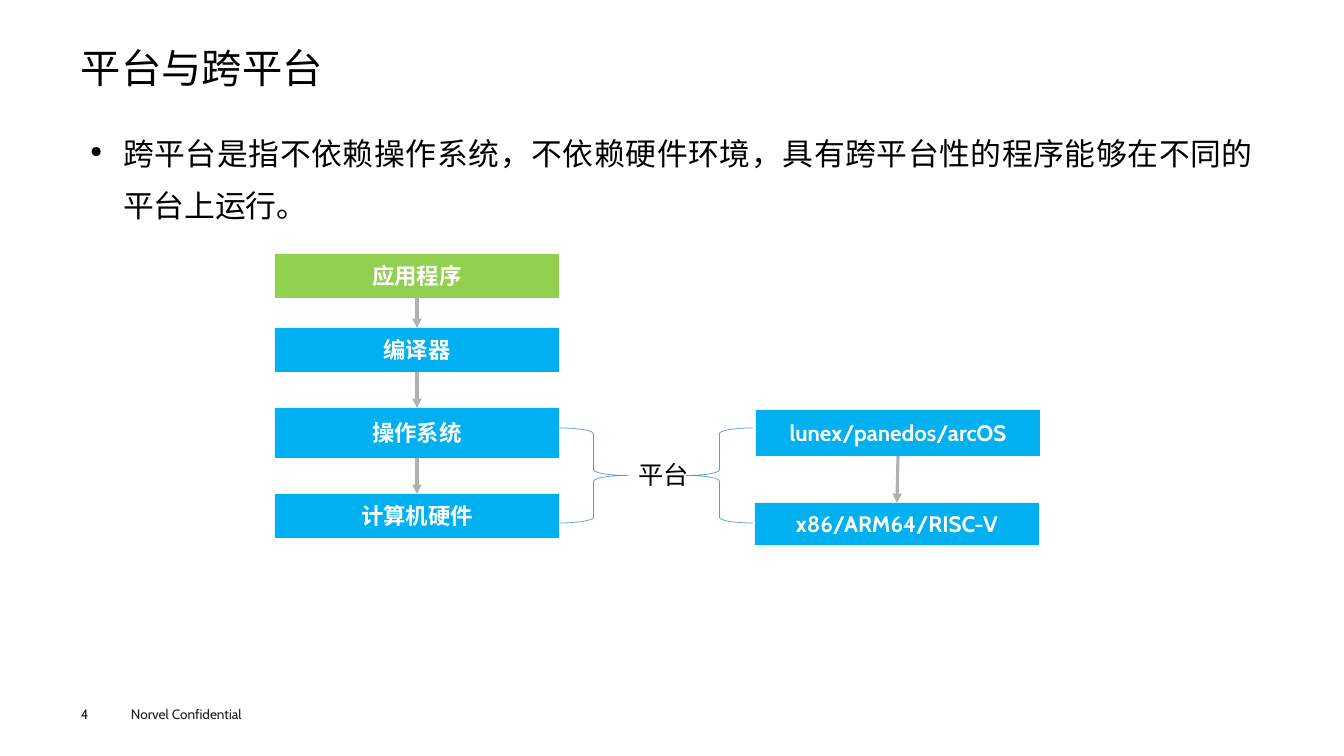
from dataclasses import dataclass
from itertools import pairwise

from lxml import etree
from pptx import Presentation
from pptx import util as u
from pptx.dml.color import RGBColor
from pptx.enum import shapes, text
from pptx.oxml.ns import qn

EMU_PER_PX = 914400 / 100.8
TITLE_ONLY = 5


def px(length):
    return u.Emu(round(length * EMU_PER_PX))


@dataclass(frozen=True)
class Theme:
    font: str = "Cabin"
    ink: str = "000000"
    footer_ink: str = "1D1D1B"
    box_ink: str = "FFFFFF"
    program: str = "92D050"
    layer: str = "00B0F0"
    arrow: str = "B0B0B0"
    brace: str = "5B9BD5"
    title_size: float = 28.8
    body_size: float = 22
    label_size: float = 18
    box_size: float = 16
    footer_size: float = 9.7


class SlideBuilder:
    def __init__(self, deck, theme):
        self.theme = theme
        self.page = deck.slides.add_slide(deck.slide_layouts[TITLE_ONLY])

    def set_text(self, shape, words, size, color, insets=(0, 0), bold=False,
                 align=text.PP_ALIGN.LEFT, anchor=text.MSO_ANCHOR.TOP):
        """Fill a shape with one styled paragraph and return the paragraph."""
        frame = shape.text_frame
        frame.word_wrap = True
        frame.auto_size = text.MSO_AUTO_SIZE.NONE
        frame.vertical_anchor = anchor
        frame.margin_left = frame.margin_right = px(insets[0])
        frame.margin_top = frame.margin_bottom = px(insets[1])
        para = frame.paragraphs[0]
        para.text = words
        para.alignment = align
        font = para.font
        font.name, font.size, font.bold = self.theme.font, u.Pt(size), bold
        font.color.rgb = RGBColor.from_string(color)
        return para

    def title(self, words, *place):
        holder = self.page.shapes.title
        holder.left, holder.top, holder.width, holder.height = map(px, place)
        para = self.set_text(holder, words, self.theme.title_size,
                             self.theme.ink)
        para.line_spacing = 0.9

    def label(self, words, place, size, color, insets=(10, 5), **style):
        area = self.page.shapes.add_textbox(*map(px, place))
        return self.set_text(area, words, size, color, insets, **style)

    def bullet(self, words, *place):
        para = self.label(words, place, self.theme.body_size, self.theme.ink,
                          insets=(9, 4), align=text.PP_ALIGN.JUSTIFY)
        para.line_spacing = 1.4
        para.space_before = u.Pt(7.9)
        props = para._p.get_or_add_pPr()
        props.set("marL", str(px(33)))
        props.set("indent", str(px(-33)))
        defaults = props.find(qn("a:defRPr"))
        for tag, key, value in (("a:buSzPct", "val", "50000"),
                                ("a:buChar", "char", "●")):
            mark = etree.Element(qn(tag))
            mark.set(key, value)
            defaults.addprevious(mark)

    def box(self, words, color, *place):
        box = self.page.shapes.add_shape(
            shapes.MSO_SHAPE.RECTANGLE, *map(px, place))
        box.shadow.inherit = False
        box.fill.solid()
        box.fill.fore_color.rgb = RGBColor.from_string(color)
        box.line.fill.background()
        para = self.set_text(box, words, self.theme.box_size,
                             self.theme.box_ink, insets=(7, 4), bold=True,
                             align=text.PP_ALIGN.CENTER,
                             anchor=text.MSO_ANCHOR.MIDDLE)
        para.space_before = u.Pt(2.2)
        return box

    def arrow(self, upper, lower):
        """Join the bottom of one box to the top of the next."""
        arrow = self.page.shapes.add_connector(
            shapes.MSO_CONNECTOR.STRAIGHT, 0, 0, 0, 0)
        arrow.begin_connect(upper, 2)
        arrow.end_connect(lower, 0)
        arrow.line.width = u.Pt(2.25)
        arrow.line.color.rgb = RGBColor.from_string(self.theme.arrow)
        props = arrow._element.spPr
        head = etree.SubElement(props.find(qn("a:ln")), qn("a:tailEnd"))
        head.set("type", "triangle")
        etree.SubElement(props, qn("a:effectLst"))

    def stack(self, layers):
        boxes = [self.box(*layer) for layer in layers]
        for upper, lower in pairwise(boxes):
            self.arrow(upper, lower)

    def brace(self, kind, *place):
        brace = self.page.shapes.add_shape(kind, *map(px, place))
        brace.shadow.inherit = False
        brace.fill.background()
        brace.line.width = u.Pt(0.5)
        brace.line.color.rgb = RGBColor.from_string(self.theme.brace)


def main():
    deck = Presentation()
    deck.slide_width, deck.slide_height = px(1344), px(756)
    theme = Theme()
    slide = SlideBuilder(deck, theme)

    slide.title("平台与跨平台", 81, 49, 1182, 53)
    slide.bullet("跨平台是指不依赖操作系统，不依赖硬件环境，"
                 "具有跨平台性的程序能够在不同的平台上运行。",
                 81, 116, 1182, 538)

    slide.stack([
        ("应用程序", theme.program, 275, 254, 284, 44),
        ("编译器", theme.layer, 275, 328, 284, 44),
        ("操作系统", theme.layer, 275, 408, 284, 50),
        ("计算机硬件", theme.layer, 275, 494, 284, 44),
    ])
    slide.stack([
        ("lunex/panedos/arcOS", theme.layer, 756, 410, 284, 46),
        ("x86/ARM64/RISC-V", theme.layer, 755, 503, 284, 42),
    ])
    slide.brace(shapes.MSO_SHAPE.RIGHT_BRACE, 559, 428, 69, 95)
    slide.brace(shapes.MSO_SHAPE.LEFT_BRACE, 686, 428, 67, 95)
    slide.label("平台", (628, 454, 189, 40), theme.label_size, theme.ink)

    slide.label("Norvel Confidential", (121, 701, 161, 27),
                theme.footer_size, theme.footer_ink)
    slide.label("4", (81, 706, 55, 16), theme.footer_size, theme.footer_ink,
                insets=(0, 0))
    deck.save("out.pptx")


if __name__ == "__main__":
    main()
